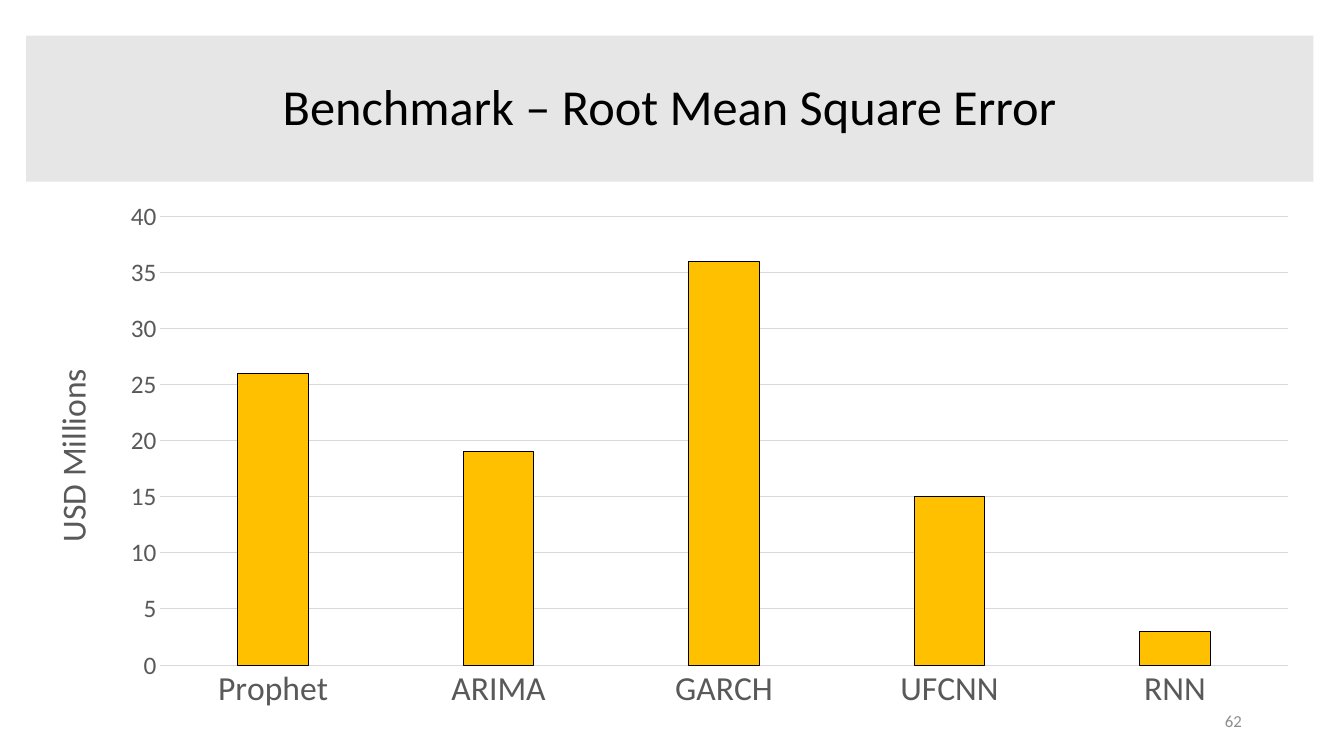
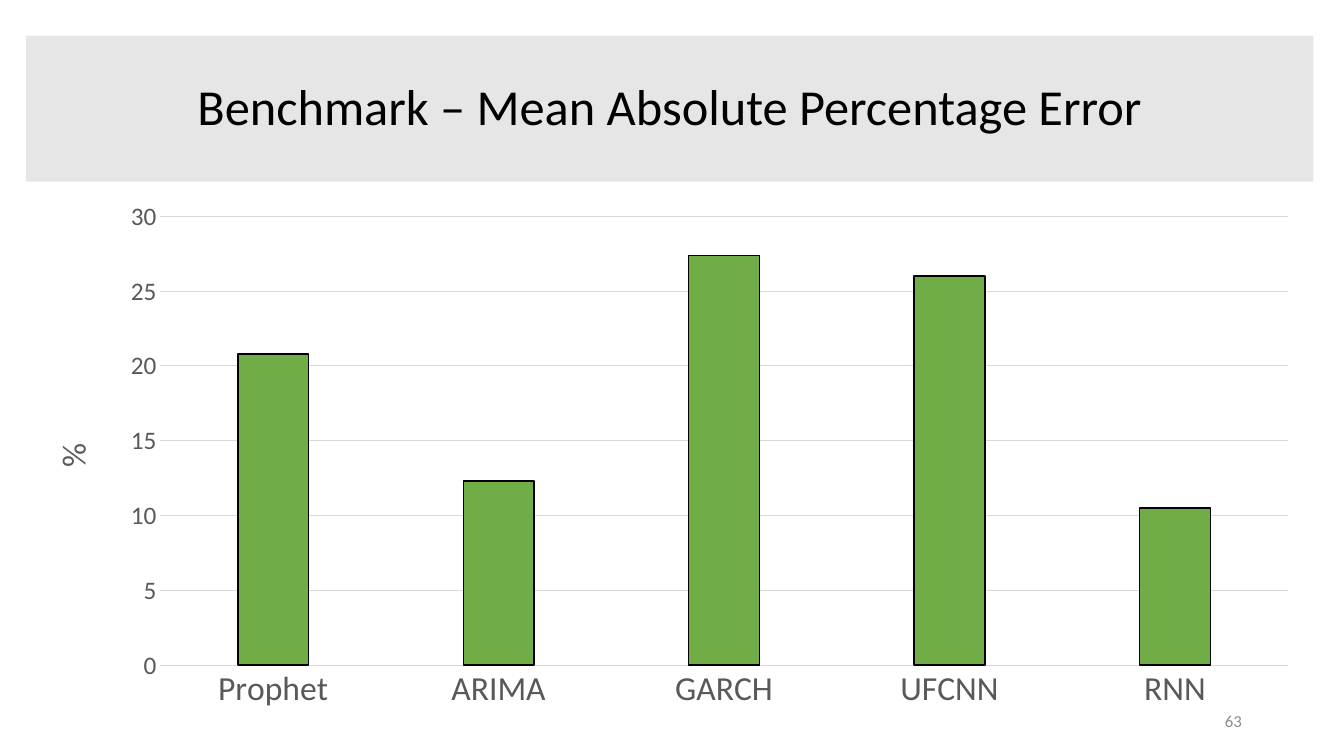
from pptx import Presentation
from pptx import util as u
from pptx.chart import data as chart_data
from pptx.dml import color
from pptx.enum import chart as charts, shapes, text

BLACK = color.RGBColor(0x00, 0x00, 0x00)
BAND_GREY = color.RGBColor(0xE7, 0xE6, 0xE6)
GRID_GREY = color.RGBColor(0xD9, 0xD9, 0xD9)
AXIS_GREY = color.RGBColor(0x59, 0x59, 0x59)
NUMBER_GREY = color.RGBColor(0x8C, 0x8C, 0x8C)
GOLD = color.RGBColor(0xFF, 0xC0, 0x00)
GREEN = color.RGBColor(0x70, 0xAD, 0x47)
FONT = "Calibri"

SLIDE_WIDTH, SLIDE_HEIGHT = u.Cm(33.87), u.Cm(19.05)
BAND_BOX = u.Cm(0.66), u.Cm(0.9), u.Cm(32.44), u.Cm(3.68)
CHART_BOX = u.Cm(0.66), u.Cm(4.8), u.Cm(32.44), u.Cm(13.36)
NUMBER_BOX = u.Cm(23.93), u.Cm(17.65), u.Cm(7.62), u.Cm(1.02)

MODELS = ["Prophet", "ARIMA", "GARCH", "UFCNN", "RNN"]
BENCHMARKS = [
    ("Benchmark – Root Mean Square Error", 62, "USD Millions",
     [26, 19, 36, 15, 3], 40, GOLD, 0.75),
    ("Benchmark – Mean Absolute Percentage Error", 63, "%",
     [20.8, 12.3, 27.4, 26, 10.5], 30, GREEN, 1),
]


def set_font(font, size, colour):
    font.name = FONT
    font.size = u.Pt(size)
    font.bold = False
    font.color.rgb = colour


def set_line(line, colour, width=0.75):
    line.color.rgb = colour
    line.width = u.Pt(width)


def write_text(shape, words, size, colour, alignment):
    frame = shape.text_frame
    frame.word_wrap = True
    frame.vertical_anchor = text.MSO_ANCHOR.MIDDLE
    paragraph = frame.paragraphs[0]
    paragraph.text = words
    paragraph.alignment = alignment
    set_font(paragraph.font, size, colour)
    return paragraph


def add_title_band(slide, box, title):
    band = slide.shapes.add_shape(shapes.MSO_SHAPE.RECTANGLE, *box)
    band.shadow.inherit = False
    band.fill.solid()
    band.fill.fore_color.rgb = BAND_GREY
    band.line.fill.background()
    paragraph = write_text(band, title, 36, BLACK, text.PP_ALIGN.CENTER)
    paragraph.line_spacing = 0.9


def add_page_number(slide, box, number):
    write_text(slide.shapes.add_textbox(*box), str(number), 12,
               NUMBER_GREY, text.PP_ALIGN.RIGHT)


def style_value_axis(axis, unit, maximum):
    axis.minimum_scale = 0
    axis.maximum_scale = maximum
    axis.major_unit = 5
    axis.major_tick_mark = charts.XL_TICK_MARK.NONE
    axis.format.line.fill.background()
    set_line(axis.major_gridlines.format.line, GRID_GREY)
    set_font(axis.tick_labels.font, 18, AXIS_GREY)
    axis.tick_labels.number_format = "General"
    axis.tick_labels.number_format_is_linked = False
    frame = axis.axis_title.text_frame
    frame.text = unit
    set_font(frame.paragraphs[0].font, 24, AXIS_GREY)
    body = frame._txBody.bodyPr
    body.set("rot", "-5400000")
    body.set("vert", "horz")


def style_category_axis(axis):
    axis.major_tick_mark = charts.XL_TICK_MARK.NONE
    set_line(axis.format.line, GRID_GREY)
    set_font(axis.tick_labels.font, 24, AXIS_GREY)


def add_error_chart(slide, box, unit, values, maximum, fill, outline):
    data = chart_data.CategoryChartData()
    data.categories = MODELS
    data.add_series("Series 1", values)
    chart = slide.shapes.add_chart(
        charts.XL_CHART_TYPE.COLUMN_CLUSTERED, *box, data).chart
    chart.has_legend = False
    chart.has_title = False
    set_font(chart.font, 10, BLACK)
    style_category_axis(chart.category_axis)
    style_value_axis(chart.value_axis, unit, maximum)
    plot = chart.plots[0]
    plot.gap_width = 219
    plot.overlap = -27
    plot.vary_by_categories = False
    bars = plot.series[0].format
    bars.fill.solid()
    bars.fill.fore_color.rgb = fill
    set_line(bars.line, BLACK, outline)


def add_benchmark_slide(presentation, title, number, *chart_settings):
    slide = presentation.slides.add_slide(presentation.slide_layouts[6])
    add_title_band(slide, BAND_BOX, title)
    add_page_number(slide, NUMBER_BOX, number)
    add_error_chart(slide, CHART_BOX, *chart_settings)


def main():
    presentation = Presentation()
    presentation.slide_width = SLIDE_WIDTH
    presentation.slide_height = SLIDE_HEIGHT
    for benchmark in BENCHMARKS:
        add_benchmark_slide(presentation, *benchmark)
    presentation.save("out.pptx")


if __name__ == "__main__":
    main()
